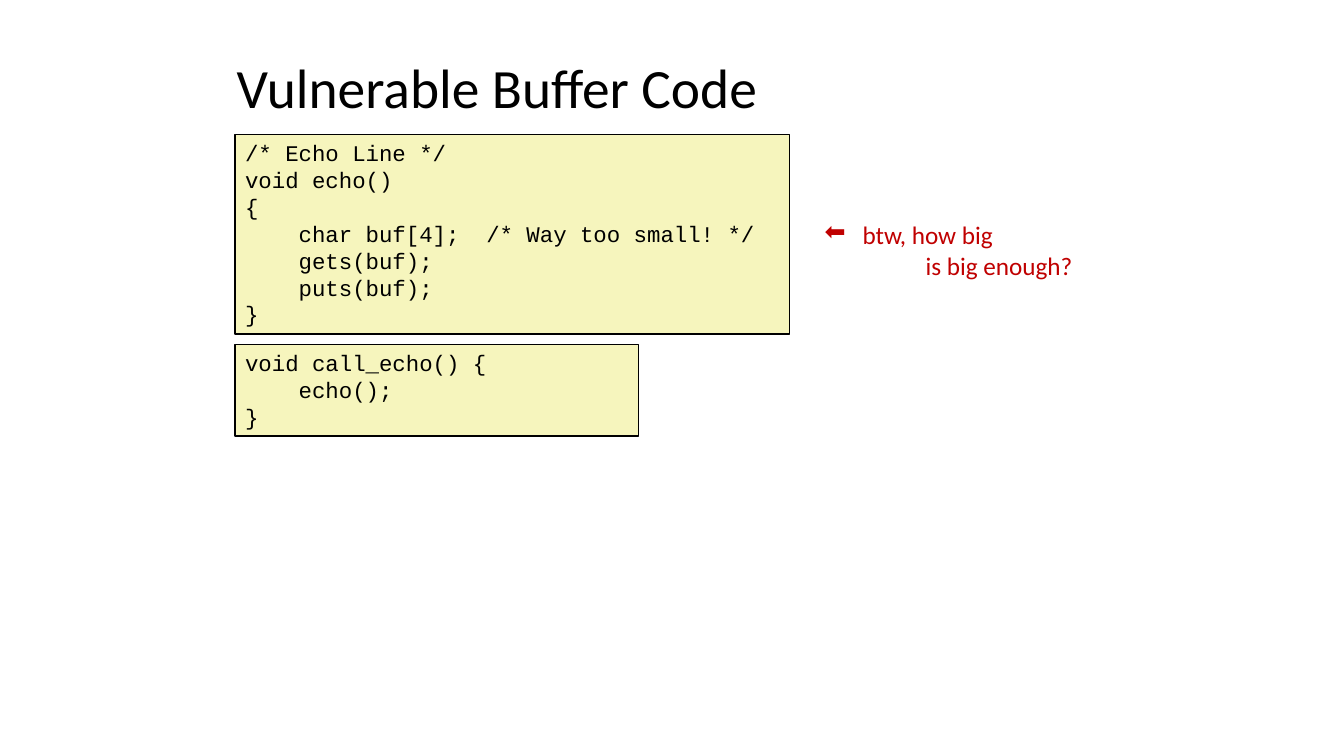
from lxml.etree import SubElement
from pptx import Presentation
from pptx.dml.color import RGBColor
from pptx.enum.shapes import MSO_SHAPE
from pptx.enum.text import MSO_ANCHOR, PP_ALIGN
from pptx.oxml.ns import qn
from pptx.util import Pt


def color(hex_string):
    return RGBColor.from_string(hex_string)


def apply_format(target, values):
    for name, value in values.items():
        setattr(target, name, value)


class SlideBuilder:
    """Holds the style and the current slide."""

    black, red, cream = "000000", "C00000", "F6F5BD"
    title_font = {"name": "Calibri", "size": Pt(39.6)}
    code_font = {"name": "Courier New", "size": Pt(16)}
    note_font = {"name": "Calibri", "size": Pt(18)}
    frame = {
        "word_wrap": True,
        "margin_left": Pt(7.2),
        "margin_right": Pt(7.2),
        "margin_top": Pt(3.6),
        "margin_bottom": Pt(3.6),
    }

    def __init__(self, slide):
        self.slide = slide

    def add_lines(self, shape, lines, font, text_color, anchor=MSO_ANCHOR.TOP, **layout):
        text_frame = shape.text_frame
        apply_format(text_frame, {**self.frame, "vertical_anchor": anchor})
        text_frame.text = "\n".join(lines)
        for paragraph in text_frame.paragraphs:
            apply_format(paragraph, {"alignment": PP_ALIGN.LEFT, **layout})
            for run in paragraph.runs:
                apply_format(run.font, font)
                run.font.color.rgb = color(text_color)
        return text_frame.paragraphs

    def text_box(self, left, top, width, height):
        return self.slide.shapes.add_textbox(Pt(left), Pt(top), Pt(width), Pt(height))

    def title(self, text, *box):
        self.add_lines(self.text_box(*box), [text], self.title_font, self.black,
                       MSO_ANCHOR.MIDDLE, line_spacing=0.9)

    def code(self, source, left, top, width, height):
        shape = self.slide.shapes.add_shape(
            MSO_SHAPE.RECTANGLE, Pt(left), Pt(top), Pt(width), Pt(height))
        shape.shadow.inherit = False
        shape.fill.solid()
        shape.fill.fore_color.rgb = color(self.cream)
        shape.line.color.rgb = color(self.black)
        shape.line.width = Pt(1)
        self.add_lines(shape, source.strip().splitlines(), self.code_font, self.black)

    def note(self, lines, bullet, hanging, indent, *box):
        """The first line has a hanging bullet, the others are indented."""
        first, *others = self.add_lines(
            self.text_box(*box), lines, self.note_font, self.red)
        properties = first._p.get_or_add_pPr()
        properties.set("marL", str(Pt(hanging)))
        properties.set("indent", str(-Pt(hanging)))
        SubElement(properties, qn("a:buChar")).set("char", bullet)
        for paragraph in others:
            paragraph._p.get_or_add_pPr().set("marL", str(Pt(indent)))


ECHO = """
/* Echo Line */
void echo()
{
    char buf[4];  /* Way too small! */
    gets(buf);
    puts(buf);
}
"""

CALL_ECHO = """
void call_echo() {
    echo();
}
"""


def main():
    presentation = Presentation()
    apply_format(presentation, {"slide_width": Pt(960), "slide_height": Pt(540)})
    builder = SlideBuilder(presentation.slides.add_slide(presentation.slide_layouts[6]))

    # Title
    builder.title("Vulnerable Buffer Code", 162, 41.8, 504.7, 45.4)

    # Code listings, aligned left
    code_left = 168
    builder.code(CALL_ECHO, code_left, 246, 288, 65.4)
    builder.code(ECHO, code_left, 96, 396, 142.5)

    # Remark beside the buffer declaration
    builder.note(["btw, how big", "is big enough?"], "⬅", 27, 72,
                 582, 153.4, 193.7, 51)

    presentation.save("out.pptx")


if __name__ == "__main__":
    main()
